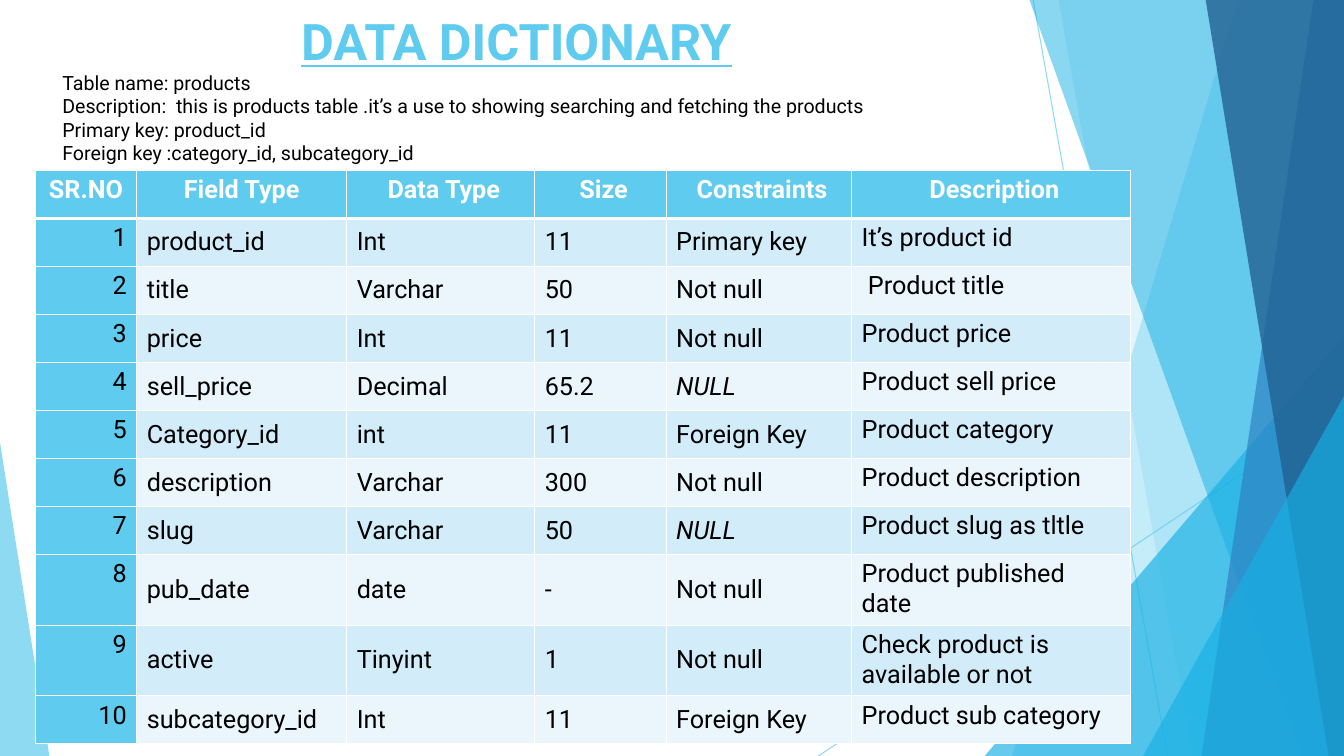
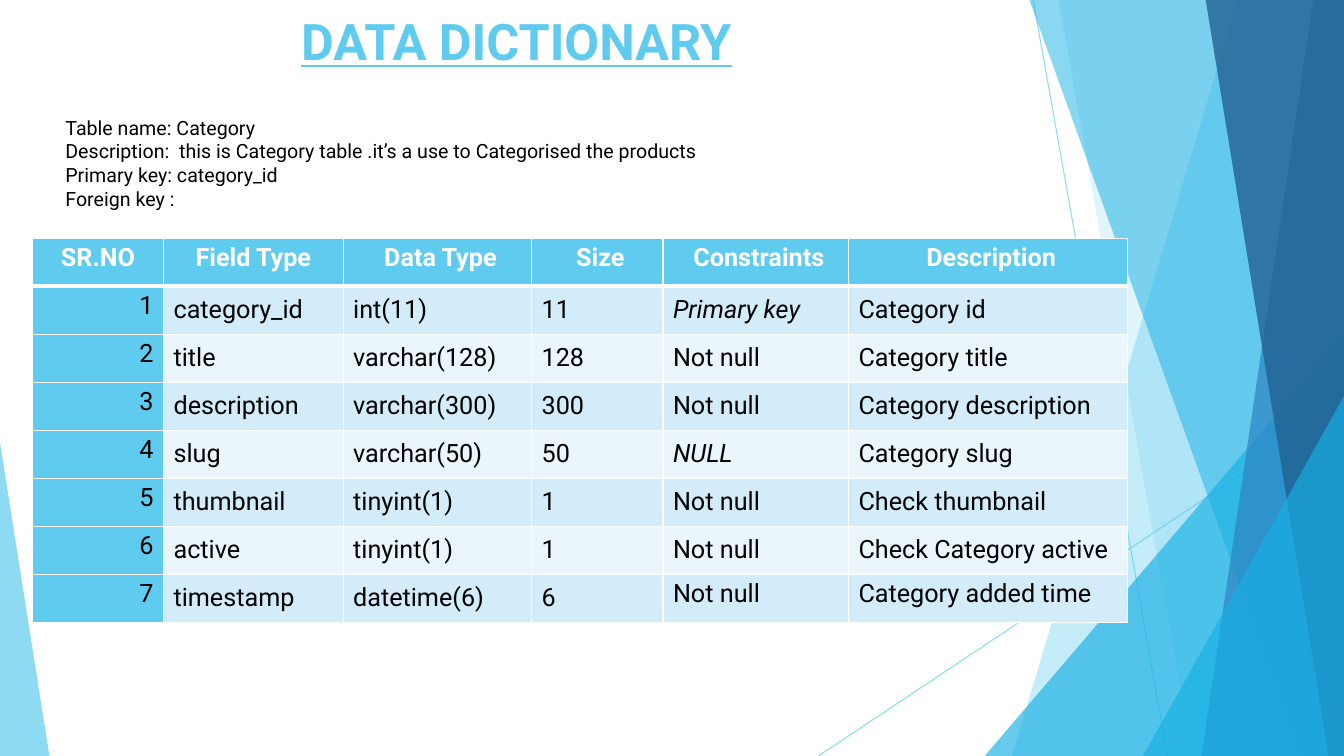
import lxml.etree
import pptx
import pptx.dml.color
import pptx.enum.shapes
import pptx.enum.text
import pptx.oxml.ns
import pptx.util

Pt = pptx.util.Pt
qn = pptx.oxml.ns.qn
ANCHOR = pptx.enum.text.MSO_ANCHOR
ALIGN = pptx.enum.text.PP_ALIGN

WIDTH, HEIGHT = 960, 540
FONT = "Roboto"
SKY, CYAN, BLUE, NAVY = "5FCBEF", "17B0E4", "2E83C3", "226292"
ROW_FILLS = ["D2ECF9", "EAF6FC"]
WHITE, BLACK = "FFFFFF", "000000"
ROW_HEIGHT = 34.3


def color(hex_string):
    return pptx.dml.color.RGBColor.from_string(hex_string)


class Deck:
    def __init__(self):
        self.presentation = pptx.Presentation()
        self.presentation.slide_width = Pt(WIDTH)
        self.presentation.slide_height = Pt(HEIGHT)
        self.slide = None

    def new_slide(self):
        self.slide = self.presentation.slides.add_slide(
            self.presentation.slide_layouts[6])
        self.facets()

    def set_alpha(self, shape, percent):
        for node in shape.element.iter(qn("a:srgbClr")):
            lxml.etree.SubElement(node, qn("a:alpha"), val=str(percent * 1000))

    def paint(self, shape, fill, percent):
        shape.shadow.inherit = False
        shape.fill.solid()
        shape.fill.fore_color.rgb = color(fill)
        shape.line.fill.background()
        self.set_alpha(shape, percent)

    def line(self, x1, y1, x2, y2):
        connector = self.slide.shapes.add_connector(
            pptx.enum.shapes.MSO_CONNECTOR.STRAIGHT,
            Pt(x1), Pt(y1), Pt(x2), Pt(y2))
        connector.line.color.rgb = color(SKY)
        connector.line.width = Pt(0.75)
        self.set_alpha(connector, 70)
        lxml.etree.SubElement(connector.element.spPr, qn("a:effectLst"))

    def band(self, top_x, bottom_x, fill, percent):
        """A facet from a slanted left edge to the right edge of the slide."""
        top = -0.72
        builder = self.slide.shapes.build_freeform(Pt(top_x), Pt(top))
        corners = [(WIDTH, top), (WIDTH, HEIGHT), (bottom_x, HEIGHT)]
        builder.add_line_segments([(Pt(x), Pt(y)) for x, y in corners])
        self.paint(builder.convert_to_shape(), fill, percent)

    def triangle(self, left, top, width, apex, fill, percent):
        """A triangle that stands on the bottom edge of the slide."""
        shape = self.slide.shapes.add_shape(
            pptx.enum.shapes.MSO_SHAPE.ISOSCELES_TRIANGLE,
            Pt(left), Pt(top), Pt(width), Pt(HEIGHT - top))
        shape.adjustments[0] = apex
        self.paint(shape, fill, percent)

    def facets(self):
        self.line(738, 0, 834, HEIGHT)
        self.line(WIDTH, 290, 584.6, HEIGHT)
        self.band(884.2, 722.9, SKY, 36)
        self.band(756, 851.8, SKY, 20)
        self.triangle(703.4, 239.8, 256.6, 1, CYAN, 66)
        self.band(735.1, 929.5, CYAN, 50)
        self.band(938.2, 858.2, BLUE, 70)
        self.band(861.1, 949, NAVY, 80)
        self.triangle(816.5, 283, 143.5, 1, CYAN, 66)
        self.triangle(0, 316.1, 35.3, 0, SKY, 70)

    def run(self, paragraph, text, size, text_color, bold=False, italic=False):
        run = paragraph.add_run()
        run.text = text
        run.font.name = FONT
        run.font.size = Pt(size)
        run.font.bold = bold
        run.font.italic = italic
        run.font.color.rgb = color(text_color)
        return run

    def text_frame(self, left, top, width, height):
        frame = self.slide.shapes.add_textbox(
            Pt(left), Pt(top), Pt(width), Pt(height)).text_frame
        frame.word_wrap = True
        return frame

    def title(self, text):
        frame = self.text_frame(208, 7.2, 381.6, 44)
        frame.vertical_anchor = ANCHOR.MIDDLE
        run = self.run(frame.paragraphs[0], text, 36, SKY, bold=True)
        run.font.underline = True

    def summary(self, left, top, lines):
        frame = self.text_frame(left, top, 674, 75)
        for index, text in enumerate(lines):
            paragraph = frame.add_paragraph() if index else frame.paragraphs[0]
            self.run(paragraph, text, 14, BLACK)

    def borders(self, cell, top, bottom):
        properties = cell._tc.get_or_add_tcPr()
        for side, width in zip("LRTB", (1, 1, top, bottom)):
            border = lxml.etree.SubElement(
                properties, qn("a:ln" + side), w=str(Pt(width)))
            fill = lxml.etree.SubElement(border, qn("a:solidFill"))
            lxml.etree.SubElement(fill, qn("a:srgbClr"), val=WHITE)

    def table(self, left, top, widths, rows, italic_words, is_top):
        """rows hold the fields; the serial number is counted here.

        is_top(row, column) tells which body cells keep their text on top.
        """
        header = ["SR.NO", "Field Type", " Data Type", " Size",
                  " Constraints", " Description"]
        numbered = [[str(n), *row] for n, row in enumerate(rows, 1)]
        content = [header] + numbered
        table = self.slide.shapes.add_table(
            len(content), len(header), Pt(left), Pt(top),
            Pt(sum(widths)), Pt(ROW_HEIGHT * len(content))).table
        table.first_row = table.horz_banding = False
        for column, width in zip(table.columns, widths):
            column.width = Pt(width)
        for r, texts in enumerate(content):
            table.rows[r].height = Pt(ROW_HEIGHT)
            for c, text in enumerate(texts):
                cell = table.cell(r, c)
                self.borders(cell, 3 if r == 1 else 1, 3 if r == 0 else 1)
                cell.fill.solid()
                accent = r == 0 or c == 0
                cell.fill.fore_color.rgb = color(
                    SKY if accent else ROW_FILLS[(r - 1) % 2])
                if not accent and not is_top(r, c):
                    cell.vertical_anchor = ANCHOR.MIDDLE
                paragraph = cell.text_frame.paragraphs[0]
                if accent:
                    paragraph.alignment = ALIGN.RIGHT if r else ALIGN.CENTER
                self.run(paragraph, text, 18, BLACK if r else WHITE,
                         bold=r == 0, italic=text in italic_words)


deck = Deck()

# Products table
deck.new_slide()
deck.title("DATA DICTIONARY")
deck.table(
    25.2, 121.7, [72.5, 150, 134.3, 93.9, 132.5, 199.4],
    [
        ["product_id\u00a0", "Int ", "11", "Primary key", "It’s product id"],
        ["title", "Varchar ", "50", "Not null", " Product title "],
        ["price", "Int ", "11", "Not null", "Product price"],
        ["sell_price", "Decimal ", "65.2", "NULL", "Product sell price"],
        ["Category_id", "int", "11", "Foreign Key", "Product category"],
        ["description", "Varchar ", "300", "Not null", "Product description"],
        ["slug", "Varchar ", "50", "NULL", "Product slug as tltle"],
        ["pub_date", "date", "-", "Not null", "Product published date"],
        ["active", "Tinyint ", "1", "Not null",
         "Check product is available or not"],
        ["subcategory_id", "Int ", "11", "Foreign Key",
         "Product sub category"],
    ],
    italic_words={"NULL"}, is_top=lambda row, column: column == 5)
deck.summary(37.4, 46.8, [
    "Table name: products",
    "Description:  this is products table .it’s a use to showing searching "
    "and fetching the products",
    "Primary key: product_id",
    "Foreign key :category_id, subcategory_id",
])

# Category table
deck.new_slide()
deck.title("DATA DICTIONARY")
deck.table(
    23.2, 170.1, [93.6, 128.3, 134.6, 93.9, 132.5, 199.4],
    [
        ["category_id\u00a0", "int(11)", "11", "Primary key", "Category id"],
        ["title", "varchar(128)", "128", "Not null ", "Category title "],
        ["description", "varchar(300)", "300", "Not null ",
         "Category description"],
        ["slug", "varchar(50)", "50", "NULL", "Category slug"],
        ["thumbnail", "tinyint(1)", "1", "Not null ", "Check thumbnail "],
        ["active", "tinyint(1)", "1", "Not null ", "Check Category active"],
        ["timestamp", "datetime(6)", "6", "Not null ", "Category added time"],
    ],
    italic_words={"NULL", "Primary key"},
    is_top=lambda row, column: row == 7 and column >= 4)
deck.summary(39.6, 79.2, [
    "Table name: Category",
    "Description:  this is Category table .it’s a use to Categorised "
    "the products",
    "Primary key: category_id",
    "Foreign key :",
])

deck.presentation.save("out.pptx")
